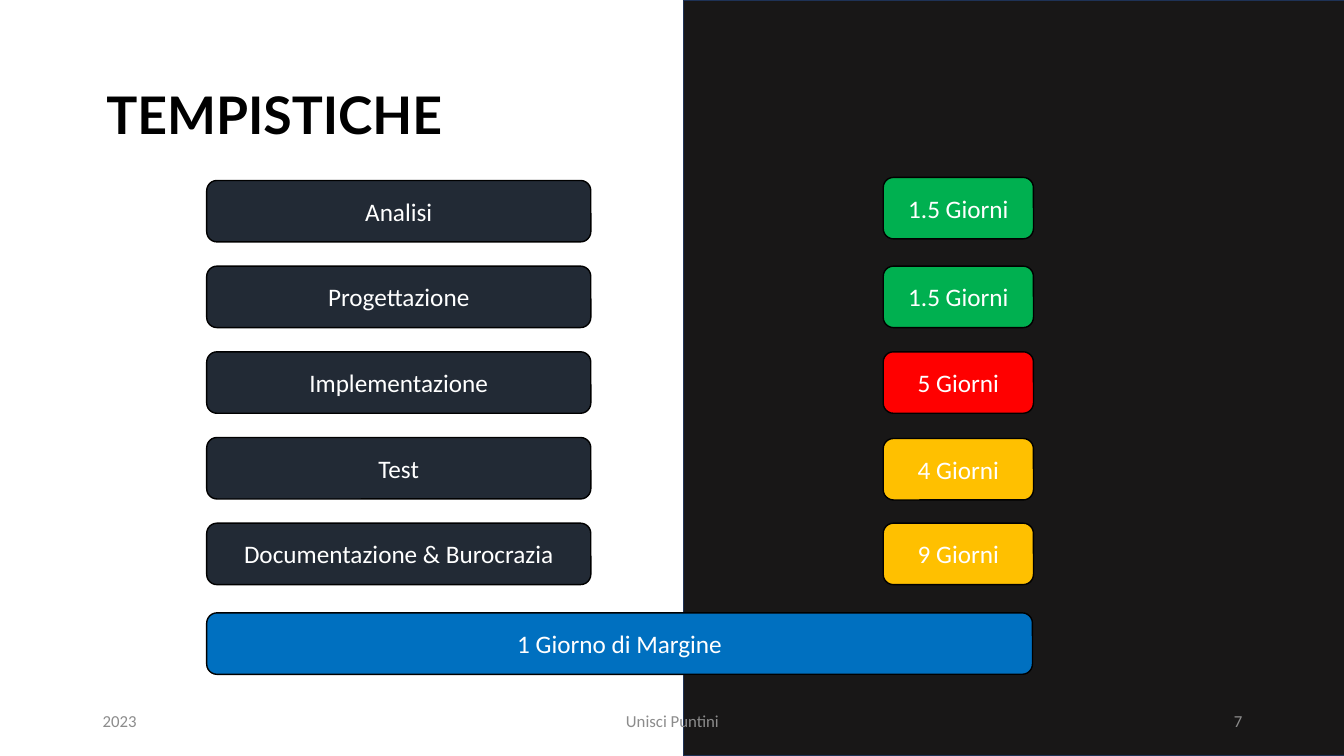
from pptx import Presentation
from pptx.dml.color import RGBColor
from pptx.enum.shapes import MSO_SHAPE
from pptx.enum.text import MSO_ANCHOR, PP_ALIGN
from pptx.util import Pt

PX = 9144  # 100 px to the inch
RECT, ROUND = MSO_SHAPE.RECTANGLE, MSO_SHAPE.ROUNDED_RECTANGLE
LEFT, CENTER, RIGHT = PP_ALIGN.LEFT, PP_ALIGN.CENTER, PP_ALIGN.RIGHT
MIDDLE, BOTTOM = MSO_ANCHOR.MIDDLE, MSO_ANCHOR.BOTTOM

THEME = {
    "panel": "181717", "panel_line": "1E3256", "outline": "000000",
    "phase": "222A35", "short": "00B050", "long": "FF0000",
    "medium": "FFC000", "margin": "0070C0",
    "title": {"name": "Lato", "size": Pt(37), "bold": True, "color": "000000"},
    "label": {"name": "Calibri", "size": Pt(18), "color": "FFFFFF"},
    "footer": {"name": "Calibri", "size": Pt(12), "color": "8C8C8C"},
}


def write(s, text, style, align=CENTER, anchor=MIDDLE):
    tf = s.text_frame
    tf.word_wrap = True
    tf.vertical_anchor = anchor
    p = tf.paragraphs[0]
    p.alignment = align
    r = p.add_run()
    r.text = text
    for key, value in THEME[style].items():
        if key == "color":
            r.font.color.rgb = RGBColor.from_string(value)
        else:
            setattr(r.font, key, value)
    return p


def add_box(kind, x, y, w, h, fill, line="outline"):
    s = sp.add_shape(kind, x * PX, y * PX, w * PX, h * PX)
    s.shadow.inherit = False
    s.fill.solid()
    s.fill.fore_color.rgb = RGBColor.from_string(THEME[fill])
    s.line.color.rgb = RGBColor.from_string(THEME[line])
    s.line.width = Pt(1)
    return s


prs = Presentation()
prs.slide_width, prs.slide_height = 1333 * PX, 750 * PX
sp = prs.slides.add_slide(prs.slide_layouts[6]).shapes

# Dark right half
add_box(RECT, 678, 0, 667, 750, "panel", "panel_line")

# Footer
for x, w, text, align in [(92, 300, "2023", LEFT),
                          (442, 450, "Unisci Puntini", CENTER),
                          (942, 300, "7", RIGHT)]:
    s = sp.add_textbox(x * PX, 695 * PX, w * PX, 40 * PX)
    write(s, text, "footer", align)

# Title
s = sp.add_textbox(71 * PX, 72 * PX, 402 * PX, 77 * PX)
p = write(s, "TEMPISTICHE", "title", anchor=BOTTOM)
p.line_spacing = 0.9

# Phases and their durations
BAR_X, BAR_H, TOP, PITCH = 205, 61, 179, 85
phases = [
    ("Analisi", "1.5 Giorni", "short", -3),
    ("Progettazione", "1.5 Giorni", "short", 0),
    ("Implementazione", "5 Giorni", "long", 0),
    ("Test", "4 Giorni", "medium", 1),
    ("Documentazione & Burocrazia", "9 Giorni", "medium", 0),
]
for i, (phase, days, color, shift) in enumerate(phases):
    y = TOP + i * PITCH
    write(add_box(ROUND, BAR_X, y, 381, BAR_H, "phase"), phase, "label")
    write(add_box(ROUND, 876, y + shift, 149, BAR_H, color), days, "label")

# Margin bar
write(add_box(ROUND, BAR_X, 608, 819, BAR_H, "margin"),
      "1 Giorno di Margine", "label")

prs.save("out.pptx")
